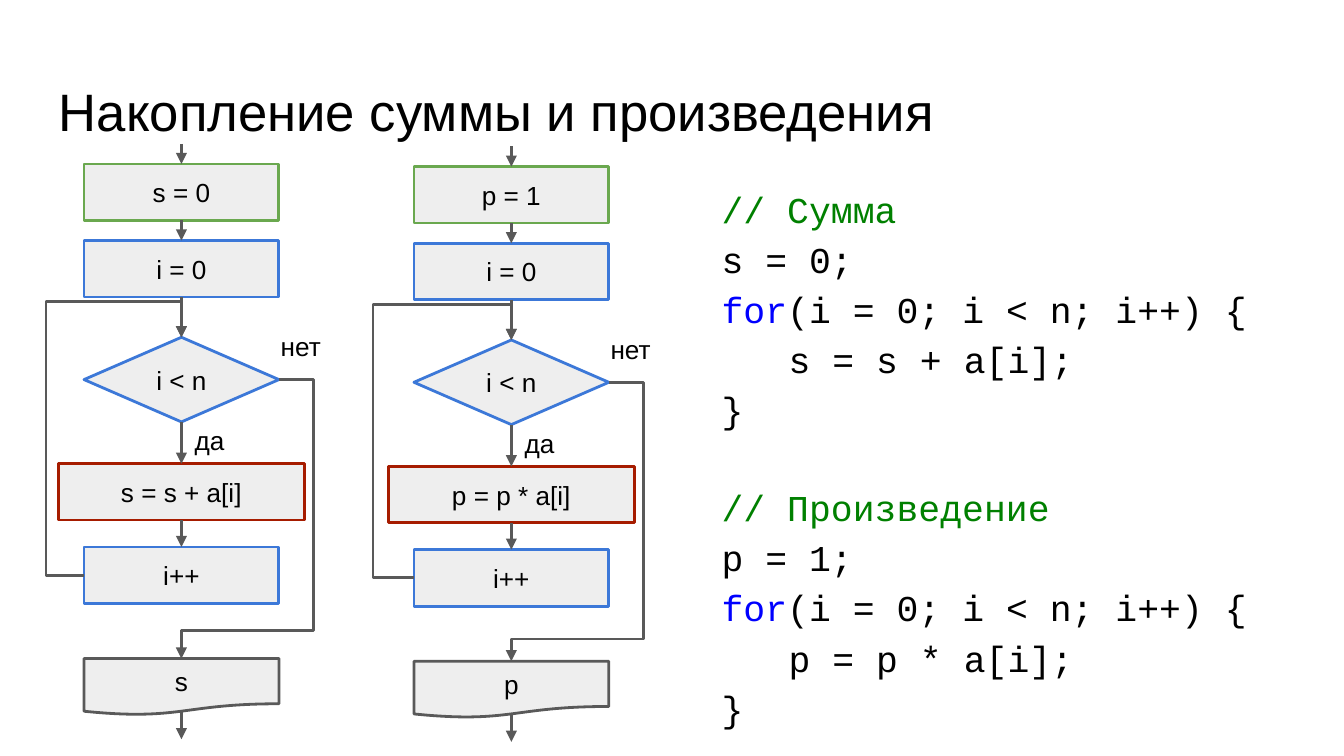
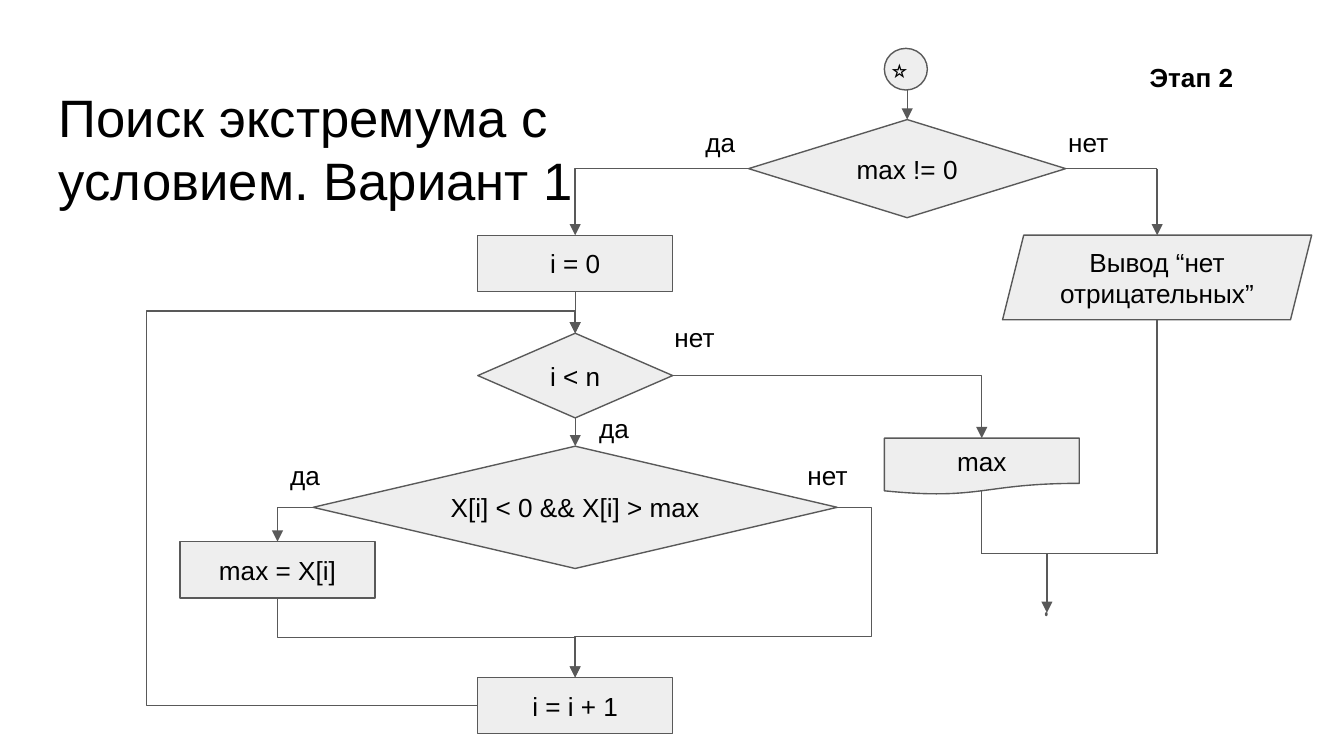
from lxml.etree import SubElement as Sub
from pptx import Presentation
from pptx.dml.color import RGBColor
from pptx.enum.shapes import MSO_CONNECTOR as Link, MSO_SHAPE as Form
from pptx.enum.text import MSO_ANCHOR as Anchor, PP_ALIGN as Align
from pptx.oxml.ns import qn
from pptx.util import Inches, Pt

BLACK = RGBColor(0x00, 0x00, 0x00)
PALE = RGBColor(0xEE, 0xEE, 0xEE)
GRAY = RGBColor(0x59, 0x59, 0x59)
GREEN = RGBColor(0x6A, 0xA8, 0x4F)
BLUE = RGBColor(0x3C, 0x78, 0xD8)
RED = RGBColor(0xA6, 0x1C, 0x00)
NOTE = RGBColor(0x00, 0x80, 0x00)
KEY = RGBColor(0x00, 0x00, 0xFF)

deck = Presentation()
deck.slide_width = Inches(10)
deck.slide_height = Inches(5.625)
CELL = deck.slide_width / 100
TOP, LEFT, BASE, RIGHT = range(4)
WIDE, LOW, TALL = 14.5, 4.2, 6.3
TITLE = {"size": Pt(28.2)}


def box(page, form, x, y, w, h, text="", edge=GRAY, thick=0.75, pad=1,
        align=Align.CENTER, font={}):
    area = [round(v * CELL) for v in (x, y, w, h)]
    if form is None:
        item = page.shapes.add_textbox(*area)
    else:
        item = page.shapes.add_shape(form, *area)
        item.shadow.inherit = False
        item.fill.solid()
        item.fill.fore_color.rgb = PALE
        item.line.color.rgb = edge
        item.line.width = Pt(thick)
    frame = item.text_frame
    look = {"word_wrap": True, "vertical_anchor": Anchor.MIDDLE if form else Anchor.TOP}
    for side in ("left", "top", "right", "bottom"):
        look["margin_" + side] = round(pad * CELL)
    for name, value in look.items():
        setattr(frame, name, value)
    if text:
        para = frame.paragraphs[0]
        para.alignment = align
        run = para.add_run()
        run.text = text
        for name, value in ({"name": "Arial", "size": Pt(14)} | font).items():
            setattr(run.font, name, value)
        run.font.color.rgb = BLACK
    return item


def wire(page, start, end, thick=0.75, bend=0, adj=(), turn=0, head=True):
    free = [isinstance(spot[0], (int, float)) for spot in (start, end)]
    ends = [round(v * CELL) for spot, loose in zip((start, end), free)
            for v in (spot if loose else (0, 0))]
    link = page.shapes.add_connector(Link.ELBOW if bend else Link.STRAIGHT, *ends)
    if not free[0]:
        link.begin_connect(*start)
    if not free[1]:
        link.end_connect(*end)
    link.line.color.rgb = GRAY
    link.line.width = Pt(thick)
    prop = link._element.spPr
    Sub(prop, qn("a:effectLst"))
    if head:
        Sub(prop.find(qn("a:ln")), qn("a:tailEnd"), type="triangle")
    if bend:
        geo = prop.find(qn("a:prstGeom"))
        geo.set("prst", f"bentConnector{bend}")
        guide = geo.find(qn("a:avLst"))
        if guide is None:
            guide = Sub(geo, qn("a:avLst"))
        for n, share in enumerate(adj, 1):
            Sub(guide, qn("a:gd"), name=f"adj{n}", fmla=f"val {round(share * 100000)}")
    if turn:
        if turn == 270:
            x, y, w, h = link.left, link.top, link.width, link.height
            link.left, link.top = x + (w - h) // 2, y + (h - w) // 2
            link.width, link.height = h, w
        frame = prop.find(qn("a:xfrm"))
        for name, value in {"rot": str(turn * 60000), "flipH": "1", "flipV": "0"}.items():
            frame.set(name, value)
    return link


blank = deck.slide_layouts[6]

page = deck.slides.add_slide(blank)
box(page, None, 3.4, 4.9, 93.2, 6.3, "Накопление суммы и произведения",
    align=Align.LEFT, font=TITLE)

flows = [
    ("s", "s = 0", "s = s + a[i]", 13.5, 0, (-0.36, 0.9), (-0.39, 1.15)),
    ("p", "p = 1", "p = p * a[i]", 38.05, 0.2, (-0.36, 0.92), (-0.42, 1.15)),
]
for name, first, step, mid, drop, out, back in flows:
    plan = [
        (Form.RECTANGLE, 12.2, WIDE, LOW, first, GREEN),
        (Form.RECTANGLE, 17.9, WIDE, LOW, "i = 0", BLUE),
        (Form.DIAMOND, 25.1, WIDE, TALL, "i < n", BLUE),
        (Form.RECTANGLE, 34.5, 18.3, LOW, step, RED),
        (Form.RECTANGLE, 40.7, WIDE, LOW, "i++", BLUE),
        (Form.FLOWCHART_DOCUMENT, 49, WIDE, LOW, name, GRAY),
    ]
    steps = [box(page, form, mid - w / 2, y + drop, w, h, text, edge, 1.5)
             for form, y, w, h, text, edge in plan]
    wire(page, (mid, 10.7 + drop), (steps[0], TOP), 1.5)
    for prev, node in zip(steps[:4], steps[1:5]):
        wire(page, (prev, BASE), (node, TOP), 1.5)
    wire(page, (mid, 52.9 + drop), (mid, 55 + drop), 1.5)
    wire(page, (steps[2], RIGHT), (steps[5], TOP), 1.5, 4, out)
    wire(page, (steps[4], LEFT), (steps[2], TOP), 1.5, 4, back, 180)
    for text, x, y in (("нет", 6.4, 23.6), ("да", 0, 30.6)):
        box(page, None, mid + x, y + drop, 5.7, 4.4, text, align=Align.LEFT)

code = box(page, None, 52.7, 12.4, 43.9, 43.1).text_frame
loop = [("for", KEY), ("(i = 0; i < n; i++) {", BLACK)]
lines = []
for note, first, step in (("// Сумма", "s = 0;", "\ts = s + a[i];"),
                          ("// Произведение", "p = 1;", "\tp = p * a[i];")):
    lines += [[(note, NOTE)], [(first, BLACK)], loop, [(step, BLACK)], [("}", BLACK)]]
for n, line in enumerate(lines):
    para = code.add_paragraph() if n else code.paragraphs[0]
    para.line_spacing = 1.15
    if n == 5:
        para.space_before = Pt(25.4)
    for text, tint in line:
        run = para.add_run()
        run.text = text
        for name, value in {"name": "Courier New", "size": Pt(19.5)}.items():
            setattr(run.font, name, value)
        run.font.color.rgb = tint

page = deck.slides.add_slide(blank)
box(page, None, 3.4, 5.3, 41.3, 10.7, "Поиск экстремума с условием. Вариант 1",
    align=Align.LEFT, font=TITLE)

mid = 42.8
init = box(page, Form.RECTANGLE, mid - WIDE / 2, 17.5, WIDE, LOW, "i = 0")
save = box(page, Form.RECTANGLE, 13.4, 40.3, WIDE, LOW, "max = X[i]")
grow = box(page, Form.RECTANGLE, mid - WIDE / 2, 50.4, WIDE, LOW, "i = i + 1")
test = box(page, Form.DIAMOND, mid - WIDE / 2, 24.8, WIDE, TALL, "i < n")
pick = box(page, Form.DIAMOND, mid - 19.5, 33.2, 39, 9.1, "X[i] < 0 && X[i] > max", pad=0)
box(page, Form.OVAL, 65.8, 3.6, 3.2, 3.1, "⭐", pad=0, align=Align.LEFT)
found = box(page, Form.DIAMOND, 55.7, 8.9, 23.6, 7.3, "max != 0")
none = box(page, Form.PARALLELOGRAM, 74.6, 17.5, 23, 6.3, "Вывод “нет отрицательных”")
none.adjustments[0] = 0.25
show = box(page, Form.FLOWCHART_DOCUMENT, 65.8, 32.6, WIDE, LOW, "max")
box(page, Form.OVAL, 77.8, 45.6, 0.1, 0.2)

wire(page, (67.5, 6.7), (found, TOP))
wire(page, (init, BASE), (test, TOP))
wire(page, (test, BASE), (pick, TOP))
wire(page, (found, LEFT), (init, TOP), bend=2)
wire(page, (test, RIGHT), (show, TOP), bend=2)
wire(page, (pick, LEFT), (save, TOP), bend=2)
wire(page, (pick, RIGHT), (grow, TOP), bend=4, adj=(-0.13, 0.76))
wire(page, (save, BASE), (grow, TOP), bend=3, adj=(0.5,), turn=270)
wire(page, (grow, LEFT), (test, TOP), bend=4, adj=(-3.4, 1.06), turn=180)

wire(page, (found, RIGHT), (86.1, 12.55), head=False)
wire(page, (86.1, 12.55), (86.1, 17.5))
for start, end, head in (((86.1, 23.8), (86.1, 41.2), False),
                         ((73.05, 36.5), (73.05, 41.2), False),
                         ((73.05, 41.2), (86.1, 41.2), False),
                         ((77.9, 41.2), (77.9, 45.6), True)):
    wire(page, start, end, head=head)

for text, x, y in (("нет", 49.2, 22.9), ("да", 43.6, 29.7), ("да", 20.6, 33.2),
                   ("нет", 59.1, 33.2), ("да", 51.5, 8.4), ("нет", 78.5, 8.4)):
    box(page, None, x, y, 5.7, 4.4, text, align=Align.LEFT)
box(page, None, 81.2, 3.6, 14.9, 4.4, "Этап 2", font={"bold": True})

deck.save("out.pptx")
